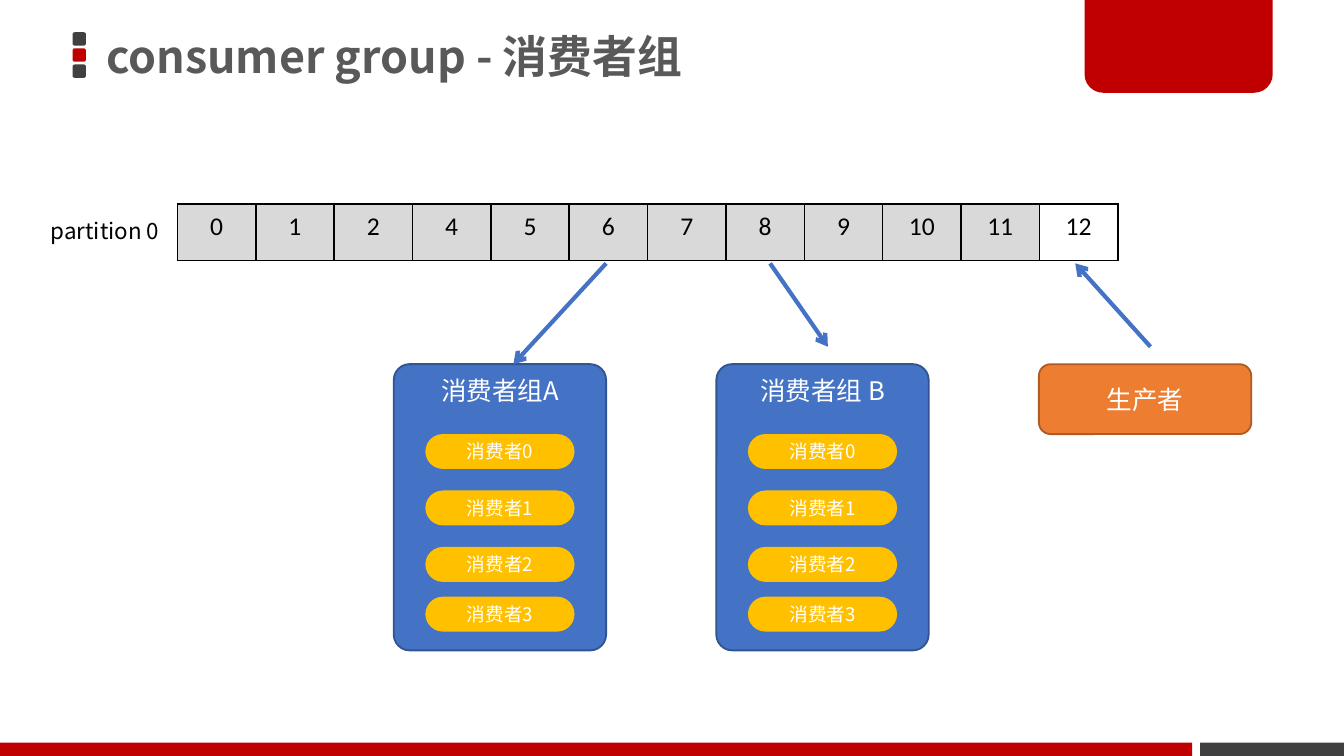
from lxml import etree
from pptx import Presentation
from pptx.dml.color import RGBColor
from pptx.enum.shapes import MSO_CONNECTOR, MSO_SHAPE
from pptx.enum.text import MSO_ANCHOR, PP_ALIGN
from pptx.oxml.ns import qn
from pptx.util import Inches, Pt

# Widescreen 16:9
WIDTH = 10
HEIGHT = WIDTH * 9 / 16

RECT = MSO_SHAPE.RECTANGLE
ROUNDED = MSO_SHAPE.ROUNDED_RECTANGLE
TAB = MSO_SHAPE.ROUND_2_SAME_RECTANGLE
STRAIGHT = MSO_CONNECTOR.STRAIGHT
LEFT, CENTER = PP_ALIGN.LEFT, PP_ALIGN.CENTER
TOP, MIDDLE = MSO_ANCHOR.TOP, MSO_ANCHOR.MIDDLE

WHITE = RGBColor(0xFF, 0xFF, 0xFF)
BLACK = RGBColor(0x00, 0x00, 0x00)
RED = RGBColor(0xC0, 0x00, 0x00)
DARK = RGBColor(0x40, 0x40, 0x40)
TITLE_GRAY = RGBColor(0x59, 0x59, 0x59)
READ_GRAY = RGBColor(0xD9, 0xD9, 0xD9)
BLUE = RGBColor(0x44, 0x72, 0xC4)
BLUE_EDGE = RGBColor(0x32, 0x54, 0x91)
ORANGE = RGBColor(0xED, 0x7D, 0x31)
ORANGE_EDGE = RGBColor(0xAF, 0x5C, 0x24)
GOLD = RGBColor(0xFF, 0xC0, 0x00)

SANS, NUMBERS = "Noto Sans CJK SC", "Calibri"
LABEL_SIZE = 13.7

# Partition log
OFFSETS = (0, 1, 2, 4, 5, 6, 7, 8, 9, 10, 11, 12)
LOG_LEFT, LOG_TOP, LOG_WIDTH, LOG_HEIGHT = 1.32, 1.52, 7, 0.42

# Clients: three columns below the log
CLIENT_LEFT, CLIENT_PITCH = 2.93, 2.4
CLIENT_TOP, CLIENT_WIDTH = 2.71, 1.58
GROUP_HEIGHT, PRODUCER_HEIGHT = 2.13, 0.52
CONSUMER_TOPS = (3.23, 3.65, 4.07, 4.44)
CONSUMER_WIDTH, CONSUMER_HEIGHT = 1.11, 0.26
ARROW_TOP = 1.96


def write(frame, text, size, color, font=SANS, align=CENTER, anchor=MIDDLE):
    frame.text = text
    frame.word_wrap = True
    frame.vertical_anchor = anchor
    paragraph = frame.paragraphs[0]
    paragraph.alignment = align
    for run in paragraph.runs:
        run.font.size = Pt(size)
        run.font.name = font
        run.font.color.rgb = color
        east_asian = etree.SubElement(run.font._element, qn("a:ea"))
        east_asian.set("typeface", font)


def add_block(slide, kind, left, top, width, height, fill, edge=None, radii=()):
    block = slide.shapes.add_shape(
        kind, Inches(left), Inches(top), Inches(width), Inches(height))
    block.shadow.inherit = False
    block.fill.solid()
    block.fill.fore_color.rgb = fill
    if edge is None:
        block.line.fill.background()
    else:
        block.line.color.rgb = edge
        block.line.width = Pt(1)
    for index, radius in enumerate(radii):
        block.adjustments[index] = radius
    return block


def add_arrow(slide, start, end):
    arrow = slide.shapes.add_connector(
        STRAIGHT, *(Inches(value) for value in (*start, *end)))
    arrow.line.color.rgb = BLUE
    arrow.line.width = Pt(2.25)
    etree.SubElement(arrow.line._get_or_add_ln(), qn("a:tailEnd"), type="arrow")
    etree.SubElement(arrow._element.spPr, qn("a:effectLst"))


def add_frame(slide):
    # Three bullets beside the title
    for row, color in enumerate((DARK, RED, DARK)):
        add_block(slide, ROUNDED, 0.54, 0.24 + 0.12 * row, 0.1, 0.1, color)
    # Corner tab and footer bars
    add_block(slide, TAB, 8.07, 0, 1.4, 0.69, RED, radii=(0, 0.2))
    add_block(slide, RECT, 0, HEIGHT - 0.1, 8.87, 0.1, RED)
    add_block(slide, RECT, 8.93, HEIGHT - 0.1, WIDTH - 8.93, 0.1, DARK)


def set_title(slide, text):
    title = slide.shapes.title
    title.left, title.top = Inches(0.69), 0
    title.width, title.height = Inches(8.63), Inches(0.87)
    write(title.text_frame, text, 24, TITLE_GRAY, align=LEFT)
    paragraph = title.text_frame.paragraphs[0]
    paragraph.line_spacing = 0.9
    paragraph.runs[0].font.bold = True


def add_borders(cell):
    properties = cell._tc.get_or_add_tcPr()
    for index, side in enumerate(("lnL", "lnR", "lnT", "lnB")):
        line = etree.Element(qn(f"a:{side}"), w=str(Pt(1)))
        fill = etree.SubElement(line, qn("a:solidFill"))
        etree.SubElement(fill, qn("a:srgbClr"), val=str(BLACK))
        properties.insert(index, line)


def add_partition(slide):
    log = slide.shapes.add_table(
        1, len(OFFSETS), Inches(LOG_LEFT), Inches(LOG_TOP),
        Inches(LOG_WIDTH), Inches(LOG_HEIGHT)).table
    log.first_row = log.horz_banding = False
    for column, offset in enumerate(OFFSETS):
        cell = log.cell(0, column)
        write(cell.text_frame, str(offset), LABEL_SIZE, BLACK, NUMBERS, anchor=TOP)
        if offset == OFFSETS[-1]:
            cell.fill.background()
        else:
            cell.fill.solid()
            cell.fill.fore_color.rgb = READ_GRAY
        add_borders(cell)

    label = slide.shapes.add_textbox(
        Inches(0.28), Inches(1.57), Inches(1.13), Inches(0.3))
    write(label.text_frame, "partition 0", 12, BLACK, align=LEFT, anchor=TOP)


def client_left(column):
    return CLIENT_LEFT + CLIENT_PITCH * column


def add_consumer_group(slide, column, name):
    left = client_left(column)
    group = add_block(slide, ROUNDED, left, CLIENT_TOP, CLIENT_WIDTH,
                      GROUP_HEIGHT, BLUE, BLUE_EDGE, radii=(0.075,))
    write(group.text_frame, name, LABEL_SIZE, WHITE, anchor=TOP)
    consumer_left = left + (CLIENT_WIDTH - CONSUMER_WIDTH) / 2
    for number, top in enumerate(CONSUMER_TOPS):
        consumer = add_block(slide, ROUNDED, consumer_left, top, CONSUMER_WIDTH,
                             CONSUMER_HEIGHT, GOLD, radii=(0.5,))
        write(consumer.text_frame, f"消费者{number}", 10, WHITE)


def add_producer(slide, column):
    producer = add_block(slide, ROUNDED, client_left(column), CLIENT_TOP,
                         CLIENT_WIDTH, PRODUCER_HEIGHT, ORANGE, ORANGE_EDGE)
    write(producer.text_frame, "生产者", LABEL_SIZE, WHITE)


def main():
    deck = Presentation()
    deck.slide_width, deck.slide_height = Inches(WIDTH), Inches(HEIGHT)
    slide = deck.slides.add_slide(deck.slide_layouts[5])

    add_frame(slide)
    set_title(slide, "consumer group - 消费者组")
    add_partition(slide)
    add_consumer_group(slide, 0, "消费者组A")
    add_consumer_group(slide, 1, "消费者组 B")
    add_producer(slide, 2)

    # Reads by the groups, then the producer's write
    add_arrow(slide, (4.51, ARROW_TOP), (3.82, CLIENT_TOP))
    add_arrow(slide, (5.73, ARROW_TOP), (6.16, 2.58))
    add_arrow(slide, (8.56, 2.58), (8, ARROW_TOP))

    deck.save("out.pptx")


if __name__ == "__main__":
    main()
